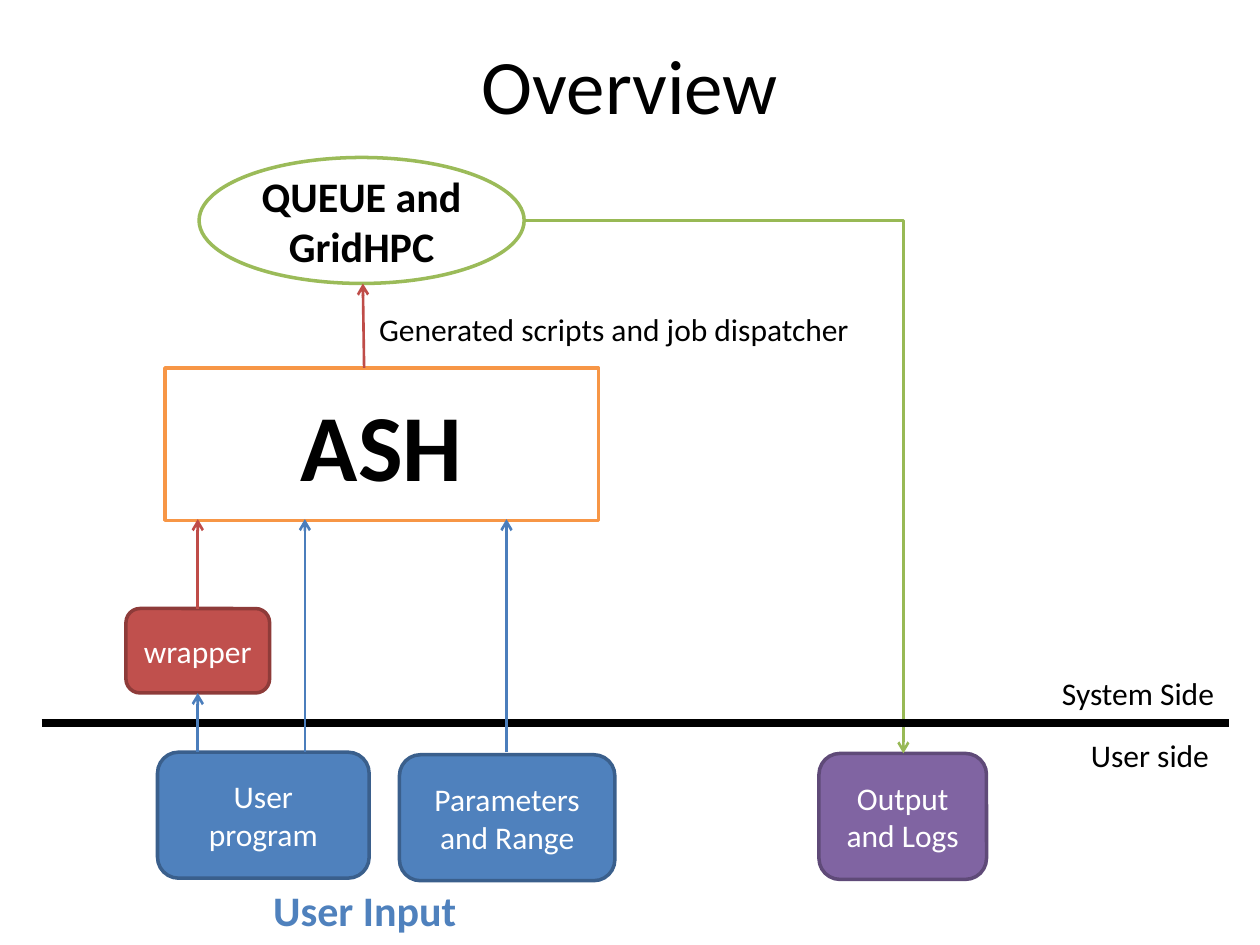
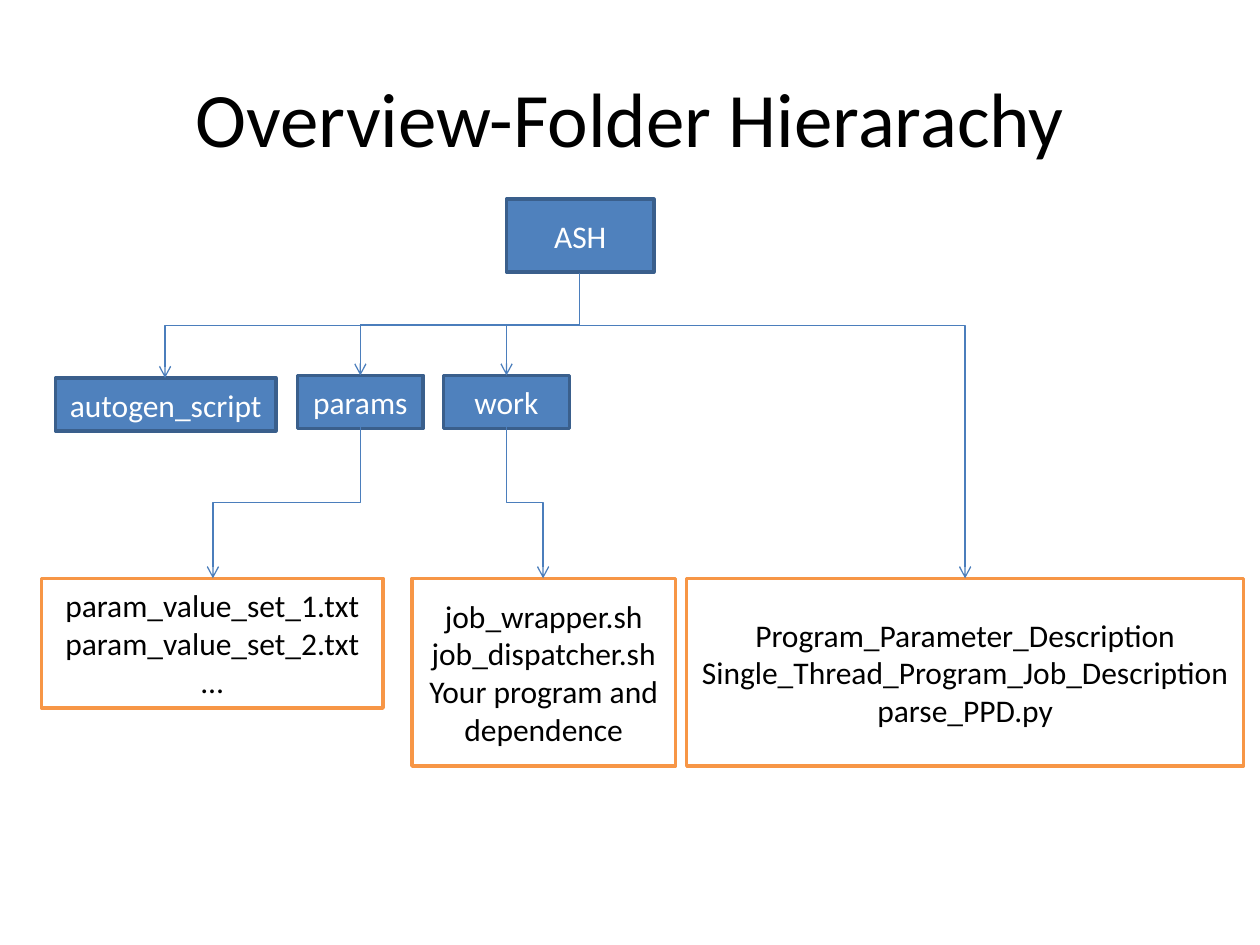
from pptx import Presentation
from pptx.dml.color import RGBColor
from pptx.enum.shapes import MSO_CONNECTOR, MSO_SHAPE
from pptx.enum.text import MSO_ANCHOR, MSO_AUTO_SIZE, PP_ALIGN
from pptx.oxml.ns import qn
from pptx.util import Inches, Pt
from lxml.etree import SubElement

BLACK = RGBColor(0x00, 0x00, 0x00)
WHITE = RGBColor(0xFF, 0xFF, 0xFF)
BLUE = RGBColor(0x4F, 0x81, 0xBD)
DARK_BLUE = RGBColor(0x3A, 0x5F, 0x8C)
ARROW_BLUE = RGBColor(0x4B, 0x7E, 0xBC)
RED = RGBColor(0xC0, 0x50, 0x4D)
DARK_RED = RGBColor(0x8E, 0x3B, 0x39)
ARROW_RED = RGBColor(0xBF, 0x4C, 0x48)
PURPLE = RGBColor(0x80, 0x64, 0xA2)
DARK_PURPLE = RGBColor(0x5F, 0x4A, 0x78)
GREEN = RGBColor(0x9B, 0xBB, 0x59)
ARROW_GREEN = RGBColor(0x98, 0xB9, 0x55)
ORANGE = RGBColor(0xF7, 0x96, 0x46)
FONT = "Calibri"
TITLE_SIZE = 44
BODY_SIZE = 18


def add_box(page, place, lines, kind=None, fill=None, border=None,
            color=BLACK, size=BODY_SIZE, bold=False, centred=True):
    """Add a filled shape, or a plain text box when no kind is given."""
    place = [Inches(value) for value in place]
    if kind is None:
        box = page.shapes.add_textbox(*place)
    else:
        box = page.shapes.add_shape(kind, *place)
        box.shadow.inherit = False
        box.fill.solid()
        box.fill.fore_color.rgb = fill
        box.line.color.rgb = border
        box.line.width = Pt(2)
    frame = box.text_frame
    frame.word_wrap = centred
    if centred:
        frame.vertical_anchor = MSO_ANCHOR.MIDDLE
    else:
        frame.auto_size = MSO_AUTO_SIZE.SHAPE_TO_FIT_TEXT
    for index, line in enumerate(lines):
        para = frame.add_paragraph() if index else frame.paragraphs[0]
        para.alignment = PP_ALIGN.CENTER if centred else PP_ALIGN.LEFT
        span = para.add_run()
        span.text = line
        span.font.name = FONT
        span.font.size = Pt(size)
        span.font.bold = bold
        span.font.color.rgb = color


def add_line(page, start, end, color, width, arrow=True,
             kind=MSO_CONNECTOR.STRAIGHT):
    ends = [Inches(value) for value in (*start, *end)]
    connector = page.shapes.add_connector(kind, *ends)
    connector.line.color.rgb = color
    connector.line.width = Pt(width)
    properties = connector._element.spPr
    if arrow:
        SubElement(properties.find(qn("a:ln")), qn("a:tailEnd"), type="arrow")
    SubElement(properties, qn("a:effectLst"))
    return properties


deck = Presentation()
deck.slide_width = Inches(10)
deck.slide_height = Inches(7.5)
blank = deck.slide_layouts[6]

# Slide 1: data flow between user and system
page = deck.slides.add_slide(blank)
add_box(page, (0.5, 0.04, 9, 1.25), ["Overview"], size=TITLE_SIZE)

# Boxes on the system side
add_box(page, (1.31, 2.92, 3.44, 1.21), ["ASH"], MSO_SHAPE.RECTANGLE,
        WHITE, ORANGE, size=54, bold=True)
add_box(page, (1.58, 1.25, 2.58, 1), ["QUEUE and GridHPC"], MSO_SHAPE.OVAL,
        WHITE, GREEN, size=24, bold=True)

# Rounded boxes
for place, label, fill, border in [
    ((1, 4.83, 1.14, 0.67), "wrapper", RED, DARK_RED),
    ((1.25, 5.97, 1.68, 1), "User program", BLUE, DARK_BLUE),
    ((3.17, 5.99, 1.71, 1), "Parameters and Range", BLUE, DARK_BLUE),
    ((6.5, 5.98, 1.33, 1), "Output and Logs", PURPLE, DARK_PURPLE),
]:
    add_box(page, place, [label], MSO_SHAPE.ROUNDED_RECTANGLE,
            fill, border, WHITE)

# Corner arrow from the cluster to the output, then the dividing line
corner = add_line(page, (4.17, 1.75), (7.17, 5.98), ARROW_GREEN, 1.5,
                  kind=MSO_CONNECTOR.ELBOW)
corner.find(qn("a:prstGeom")).set("prst", "bentConnector2")
add_line(page, (0.33, 5.74), (9.75, 5.74), BLACK, 4.5, arrow=False)

# Upward arrows
for start, end, color in [
    ((1.57, 5.97), (1.57, 5.5), ARROW_BLUE),
    ((1.57, 4.83), (1.57, 4.12), ARROW_RED),
    ((2.42, 5.97), (2.42, 4.12), ARROW_BLUE),
    ((4.02, 5.97), (4.02, 4.12), ARROW_BLUE),
    ((2.89, 2.92), (2.88, 2.25), ARROW_RED),
]:
    add_line(page, start, end, color, 1.5)

# Labels
for place, label in [
    ((2.91, 2.41, 3.98, 0.4), "Generated scripts and job dispatcher"),
    ((8.33, 5.3, 1.42, 0.4), "System Side"),
    ((8.56, 5.79, 1.15, 0.4), "User side"),
]:
    add_box(page, place, [label], centred=False)
add_box(page, (2.07, 6.97, 1.67, 0.5), ["User Input"], color=BLUE, size=24,
        bold=True, centred=False)

# Slide 2: folder tree
page = deck.slides.add_slide(blank)
add_box(page, (0.5, 0.3, 9, 1.25), ["Overview-Folder Hierarachy"],
        size=TITLE_SIZE)

# Folders
for place, label in [
    ((4.02, 1.58, 1.17, 0.58), "ASH"),
    ((0.44, 3, 1.75, 0.42), "autogen_script"),
    ((2.36, 2.98, 1, 0.42), "params"),
    ((3.52, 2.98, 1, 0.42), "work"),
]:
    add_box(page, place, [label], MSO_SHAPE.RECTANGLE, BLUE, DARK_BLUE, WHITE)

# Files
for place, names in [
    ((0.33, 4.59, 2.71, 1.03),
     ["param_value_set_1.txt", "param_value_set_2.txt", "…"]),
    ((3.27, 4.59, 2.09, 1.49),
     ["job_wrapper.sh", "job_dispatcher.sh", "Your program and dependence"]),
    ((5.45, 4.59, 4.42, 1.49),
     ["Program_Parameter_Description",
      "Single_Thread_Program_Job_Description", "parse_PPD.py"]),
]:
    add_box(page, place, names, MSO_SHAPE.RECTANGLE, WHITE, ORANGE)

# Elbow arrows that leave downwards: an unturned elbow rotated about its centre
root = (4.6, 2.17)
for start, end, bend in [
    (root, (1.31, 3), 0.5),
    (root, (2.86, 2.98), 0.5),
    (root, (4.02, 2.98), 0.5),
    ((2.86, 3.39), (1.69, 4.59), 0.5),
    ((4.02, 3.39), (4.31, 4.59), 0.5),
    (root, (7.66, 4.59), 0.17),
]:
    across, down = end[0] - start[0], end[1] - start[1]
    middle_x, middle_y = start[0] + across / 2, start[1] + down / 2
    left, right = middle_x - down / 2, middle_x + down / 2
    top, bottom = middle_y - abs(across) / 2, middle_y + abs(across) / 2
    angle = 90
    if across > 0:
        left, right, angle = right, left, 270
    elbow = add_line(page, (left, top), (right, bottom), ARROW_BLUE, 0.75,
                     kind=MSO_CONNECTOR.ELBOW)
    elbow.find(qn("a:xfrm")).set("rot", str(angle * 60000))
    guides = elbow.find(qn("a:prstGeom")).get_or_add_avLst()
    SubElement(guides, qn("a:gd"), name="adj1",
               fmla=f"val {round(bend * 100000)}")

deck.save("out.pptx")
